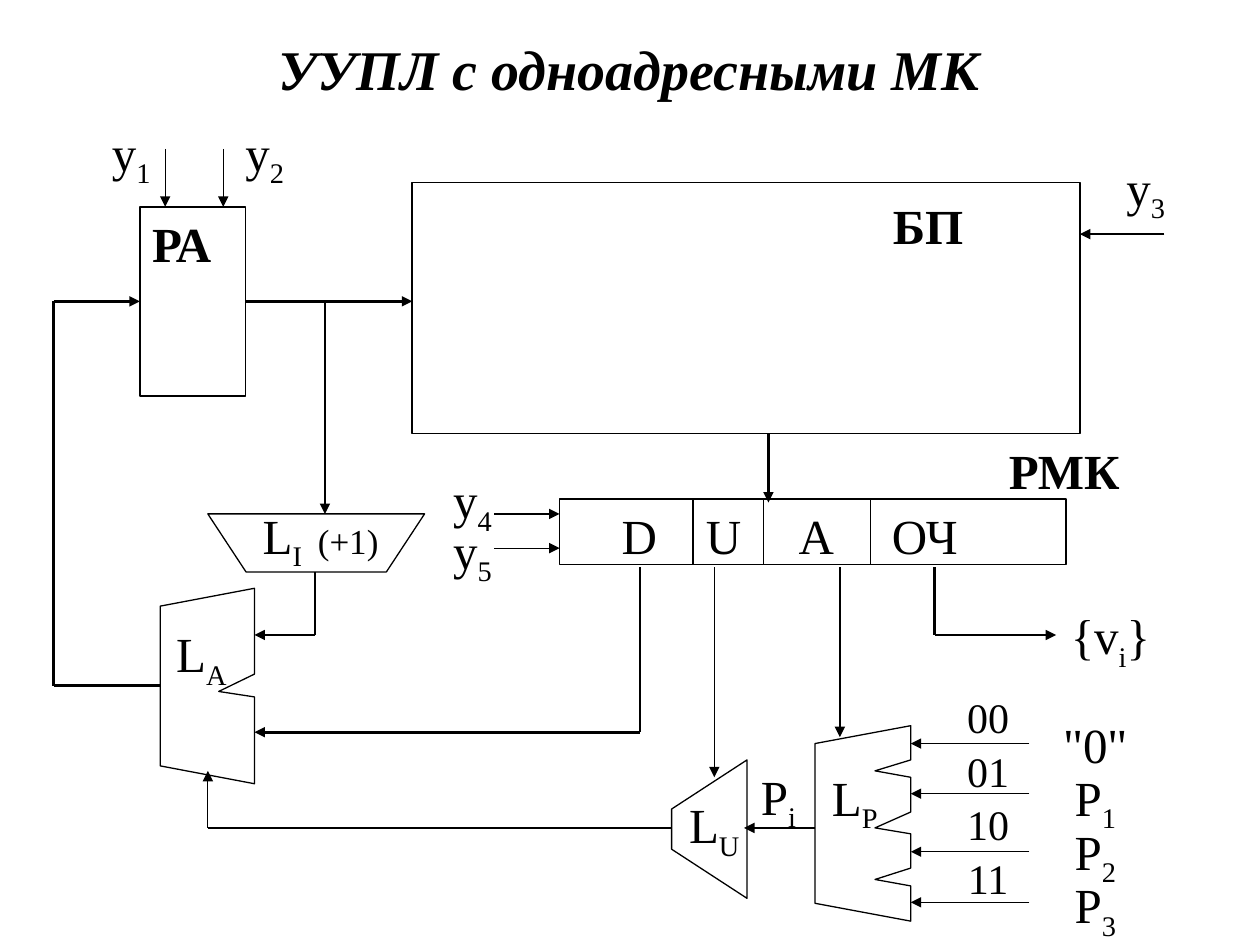
from collections import namedtuple

from lxml import etree
from pptx import Presentation
from pptx import util as u
from pptx.dml.color import RGBColor
from pptx.enum import shapes, text
from pptx.oxml import ns

INK = "000000"
THIN, FRAME, BUS = 0.75, 1, 1.5
ADDRESS, REGISTER_BOTTOM, FEEDBACK = 6.075, 11.43, 16.69


class Box(namedtuple("Box", "left top width height")):
    """Rectangle in centimetres."""

    def inner(self, dx, dy, width, height):
        """Return a box placed relative to this one."""
        return Box(self.left + dx, self.top + dy, width, height)

    def points(self, *offsets):
        """Return points placed relative to this box."""
        return [(self.left + dx, self.top + dy) for dx, dy in offsets]

    def lengths(self):
        """Return the sides as slide lengths."""
        return [u.Cm(side) for side in self]


def paint(color_format, hex_color):
    """Apply a hex colour."""
    color_format.rgb = RGBColor.from_string(hex_color)


def add_run(paragraph, words, **changes):
    """Add a formatted run and return it."""
    run = paragraph.add_run()
    run.text = words
    formats = {"name": "Times New Roman", "size": u.Pt(28), **changes}
    for key, value in formats.items():
        setattr(run.font, key, value)
    paint(run.font.color, INK)
    return run


def label(slide, box, *pieces, align=text.PP_ALIGN.CENTER, tail=None, **changes):
    """Write a label whose every second piece is a subscript."""
    frame = slide.shapes.add_textbox(*box.lengths()).text_frame
    frame.word_wrap = True
    paragraph = frame.paragraphs[0]
    paragraph.alignment = align
    for number, words in enumerate(pieces):
        extra = {"size": tail} if tail and number == 2 else {}
        run = add_run(paragraph, words, **{**changes, **extra})
        if number % 2:
            run._r.get_or_add_rPr().set("baseline", "-25000")


def outline(shape, weight):
    """Leave a shape unfilled with a plain line."""
    shape.shadow.inherit = False
    shape.fill.background()
    paint(shape.line.color, INK)
    shape.line.width = u.Pt(weight)


def block(slide, box):
    """Draw a framed rectangle with text at its top left."""
    rectangle = slide.shapes.add_shape(shapes.MSO_SHAPE.RECTANGLE, *box.lengths())
    outline(rectangle, FRAME)
    rectangle.text_frame.vertical_anchor = text.MSO_ANCHOR.TOP
    rectangle.text_frame.paragraphs[0].alignment = text.PP_ALIGN.LEFT
    return rectangle


def polygon(slide, corners):
    """Draw a closed outline through the corners."""
    corners = [(u.Cm(x), u.Cm(y)) for x, y in corners]
    builder = slide.shapes.build_freeform(*corners[0])
    builder.add_line_segments(corners[1:], close=True)
    outline(builder.convert_to_shape(), THIN)


def route(slide, points, weight=THIN, arrow=True):
    """Join points with straight connectors, the last one with an arrowhead."""
    wires = []
    for start, end in zip(points, points[1:]):
        ends = [u.Cm(value) for value in (*start, *end)]
        wire = slide.shapes.add_connector(shapes.MSO_CONNECTOR.STRAIGHT, *ends)
        paint(wire.line.color, INK)
        wire.line.width = u.Pt(weight)
        etree.SubElement(wire._element.spPr, ns.qn("a:effectLst"))
        wires.append(wire)
    if arrow:
        etree.SubElement(wires[-1].line._get_or_add_ln(), ns.qn("a:tailEnd"), type="triangle")
    return wires


def heading(slide, box):
    """Fill and place the title."""
    title = slide.shapes.title
    title.left, title.top, title.width, title.height = box.lengths()
    title.text_frame.vertical_anchor = text.MSO_ANCHOR.MIDDLE
    paragraph = title.text_frame.paragraphs[0]
    paragraph.alignment = text.PP_ALIGN.CENTER
    add_run(paragraph, "УУПЛ с одноадресными МК", size=u.Pt(32), bold=True, italic=True)


def address_register(slide, box):
    """Draw the address register with its two control inputs."""
    register = block(slide, box)
    add_run(register.text_frame.paragraphs[0], "РА", bold=True)
    for index, input_x, label_x in (("1", 0.51, -1.42), ("2", 1.68, 1.27)):
        route(slide, box.points((input_x, -1.17), (input_x, 0)))
        label(slide, box.inner(label_x, -1.83, 2.49, 1.4), "y", index)
    return register


def program_memory(slide, box):
    """Draw the program memory with its control input."""
    block(slide, box)
    label(slide, box.inner(9.44, 0.13, 3.99, 1.37), "БП", align=None, bold=True)
    route(slide, box.points((box.width + 1.7, 1.04), (box.width, 1.04)))
    label(slide, box.inner(12.92, -0.63, 3.73, 1.83), "y", "3")


def command_register(slide, box):
    """Draw the microcommand register with its fields and inputs."""
    paragraph = block(slide, box).text_frame.paragraphs[0]
    stops = etree.SubElement(paragraph._p.get_or_add_pPr(), ns.qn("a:tabLst"))
    for stop in (1.0, 2.7, 4.57, 6.45):
        etree.SubElement(stops, ns.qn("a:tab"), pos=str(int(u.Cm(stop))), algn="l")
    add_run(paragraph, "\tD\tU\tA\tОЧ")
    for divider in (2.69, 4.11, 6.27):
        route(slide, box.points((divider, 0), (divider, box.height)), arrow=False)
    label(slide, box.inner(8.81, -1.3, 3.99, 1.37), "РМК", align=None, bold=True)
    for index, input_y, label_y in (("4", 0.3, -0.71), ("5", 0.99, 0.3)):
        route(slide, box.points((-1.32, input_y), (0, input_y)))
        label(slide, box.inner(-3, label_y, 2.49, 1.4), "y", index)


def incrementer(slide, box):
    """Draw the address incrementer."""
    inset = 0.77
    polygon(slide, box.points((0, 0), (inset, box.height),
                              (box.width - inset, box.height), (box.width, 0)))
    label(slide, box.inner(0, -0.3, 4.55, 1.37), "L", "I ", " (+1)", tail=u.Pt(20))


def multiplexer(slide, box, notches, index, label_dx, label_dy):
    """Draw a multiplexer with notches between its inputs on the right."""
    inset, depth = 0.36, 0.72
    corners = [(0, inset), (box.width, 0)]
    for start, apex, end in notches:
        corners += [(box.width, start), (box.width - depth, apex), (box.width, end)]
    corners += [(box.width, box.height), (0, box.height - inset)]
    polygon(slide, box.points(*corners))
    label(slide, box.inner(label_dx, label_dy, 2.5, 1.37), "L", index)


def condition_selector(slide, box):
    """Draw the selector that steers the address multiplexer."""
    inset = 0.99
    polygon(slide, box.points((0, inset), (box.width, 0),
                              (box.width, box.height), (0, box.height - inset)))
    label(slide, box.inner(-0.46, 0.58, 2.64, 1.37), "L", "U")
    label(slide, box.inner(0.96, 0, 2.39, 1.32), "P", "i")


def condition_inputs(slide, box):
    """Draw the coded condition inputs."""
    pitch = 1.08
    rows = (("00", 1.17, ('"0"',)), ("01", 2.18, ("P", "1")),
            ("10", 3.35, ("P", "2")), ("11", 4.37, ("P", "3")))
    for row, (code, wire_y, condition) in enumerate(rows):
        route(slide, box.points((2.39, wire_y), (0, wire_y)))
        label(slide, box.inner(0, row * pitch, 3.12, 1.32), code, size=u.Pt(24))
        label(slide, box.inner(2.16, 0.45 + row * pitch, 3.12, 1.32), *condition)


def buses(slide, register):
    """Draw the wires between the blocks."""
    route(slide, [(4.95, ADDRESS), (8.31, ADDRESS)], BUS)[0].begin_connect(register, 3)
    feedback = [(3.23, 13.82), (1.08, 13.82), (1.08, ADDRESS), (2.82, ADDRESS)]
    route(slide, feedback, BUS)[-1].end_connect(register, 1)
    for points in (
        [(6.55, ADDRESS), (6.55, 10.36)],
        [(15.49, 8.74), (15.49, 10.13)],
        [(6.35, 11.53), (6.35, 12.8), (5.13, 12.8)],
        [(12.9, REGISTER_BOTTOM), (12.9, 14.76), (5.13, 14.76)],
        [(16.93, REGISTER_BOTTOM), (16.93, 14.86)],
        [(18.84, REGISTER_BOTTOM), (18.84, 12.8), (21.29, 12.8)],
    ):
        route(slide, points, BUS)
    for points in (
        [(14.4, REGISTER_BOTTOM), (14.4, 15.67)],
        [(16.43, FEEDBACK), (15.0, FEEDBACK)],
        [(13.54, FEEDBACK), (4.19, FEEDBACK), (4.19, 15.54)],
    ):
        route(slide, points)
    label(slide, Box(20.52, 12.09, 3.73, 1.4), "{v", "i", "}")


def main():
    """Build the slide and save it."""
    deck = Presentation()
    deck.slide_width, deck.slide_height = u.Cm(25.4), u.Cm(19.05)
    slide = deck.slides.add_slide(deck.slide_layouts[5])
    heading(slide, Box(1.9, 0.64, 21.59, 1.47))
    register = address_register(slide, Box(2.82, 4.17, 2.13, 3.81))
    program_memory(slide, Box(8.31, 3.68, 13.46, 5.06))
    command_register(slide, Box(11.28, 10.06, 10.21, 1.32))
    incrementer(slide, Box(4.19, 10.36, 4.37, 1.17))
    multiplexer(slide, Box(3.23, 11.86, 1.9, 3.94), [(1.73, 2.08, 2.19)], "A", -0.42, 0.59)
    multiplexer(slide, Box(16.43, 14.63, 1.93, 3.94),
                [(0.69, 0.91, 1.04), (1.74, 2.06, 2.18), (2.87, 3.1, 3.23)], "P", -0.45, 0.71)
    condition_selector(slide, Box(13.54, 15.32, 1.52, 2.79))
    condition_inputs(slide, Box(18.36, 13.82, 5.28, 4.56))
    buses(slide, register)
    deck.save("out.pptx")


if __name__ == "__main__":
    main()
